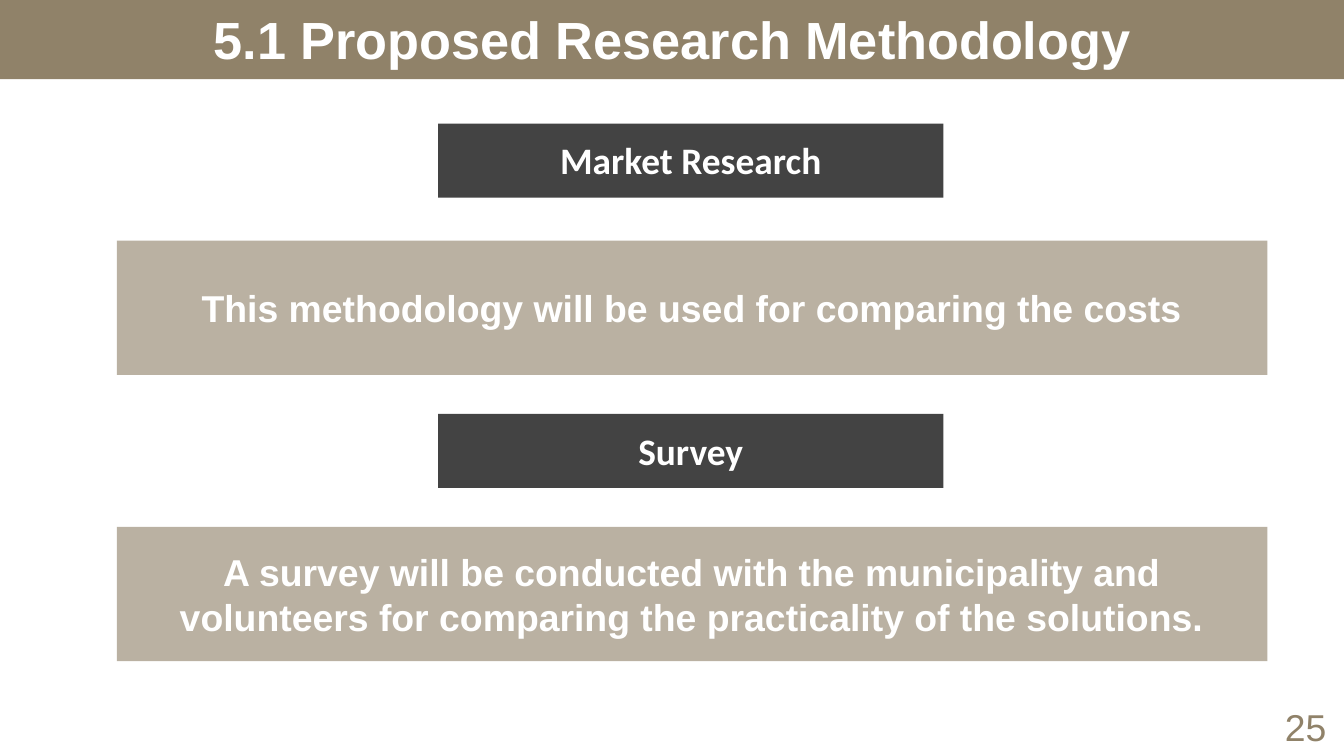
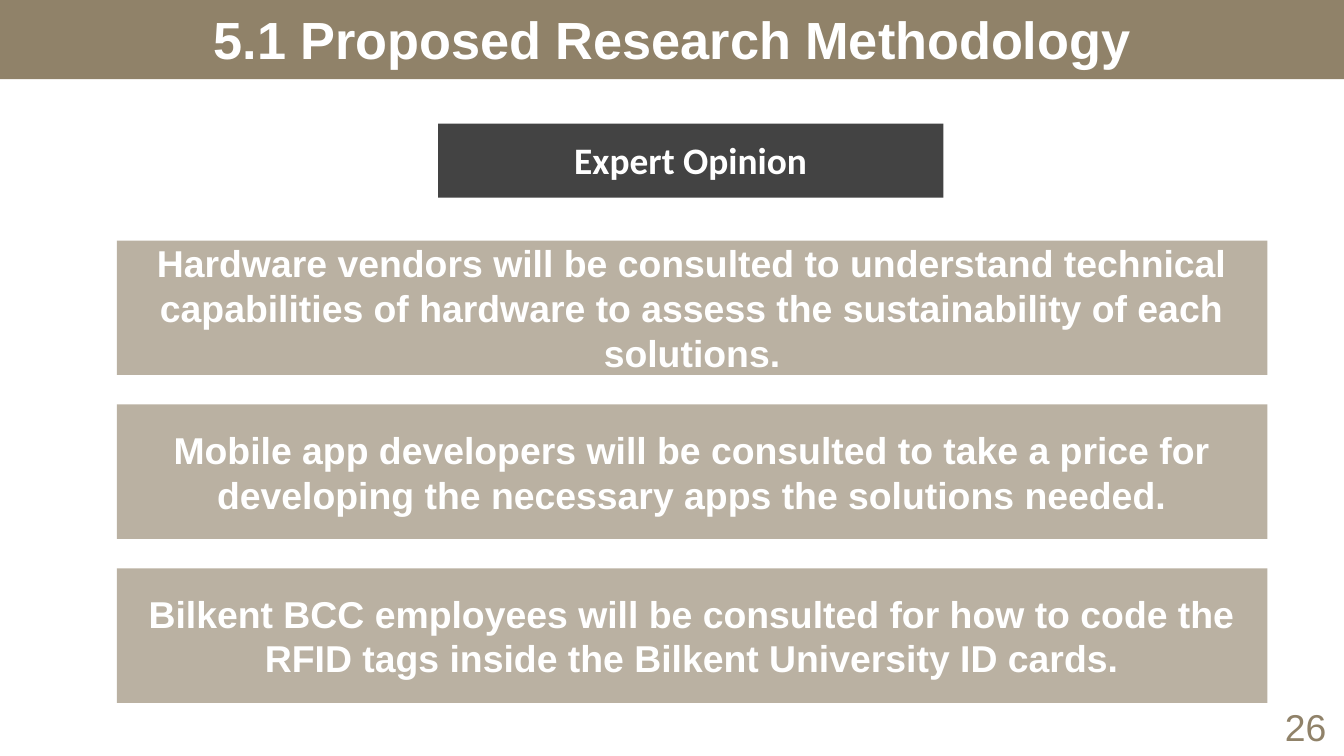
from pptx import Presentation
from pptx.dml.color import RGBColor as RGB
from pptx.enum.shapes import MSO_SHAPE as SHAPE
from pptx.enum.text import MSO_ANCHOR as ANCHOR, PP_ALIGN as ALIGN
from pptx.oxml.ns import qn
from pptx.util import Emu, Pt
from lxml.etree import SubElement

# Scale: 200 px to the inch
PX = 4572
SLIDE_W, SLIDE_H = 2000, 1125
INSET = 20

COLORS = {"sand": "908269", "dark": "434343", "white": "FFFFFF"}
TITLE = "5.1 Proposed Research Methodology"

# Rows that repeat
PANEL_X, PANEL_W, PANEL_H = 174, 1712, 200
TAG_X, TAG_W, TAG_H = 652, 752, 110
FIRST_TAG_Y, FIRST_PANEL_Y = 184, 358
PANEL_STEP = 244


def px(*values):
    return [Emu(v * PX) for v in values]


def write(shape, text, size, color="white", font="Arial", bold=True,
          anchor=ANCHOR.MIDDLE, inset_y=INSET):
    tf = shape.text_frame
    tf.word_wrap = True
    tf.vertical_anchor = anchor
    tf.margin_left = tf.margin_right = Emu(INSET * PX)
    tf.margin_top = tf.margin_bottom = Emu(inset_y * PX)
    p = tf.paragraphs[0]
    p.alignment = ALIGN.CENTER
    r = p.add_run()
    r.text = text
    r.font.name, r.font.size, r.font.bold = font, Pt(size), bold
    r.font.color.rgb = RGB.from_string(COLORS[color])


def add_rect(s, x, y, w, h, color, opacity=100):
    sp = s.shapes.add_shape(SHAPE.RECTANGLE, *px(x, y, w, h))
    sp.shadow.inherit = False
    sp.line.fill.background()
    sp.fill.solid()
    sp.fill.fore_color.rgb = RGB.from_string(COLORS[color])
    if opacity < 100:
        clr = sp.fill._xPr.find(qn("a:solidFill")).find(qn("a:srgbClr"))
        SubElement(clr, qn("a:alpha")).set("val", str(opacity * 1000))
    return sp


def add_text(s, x, y, w, h, text, size, **style):
    write(s.shapes.add_textbox(*px(x, y, w, h)), text, size, **style)


def add_panel(s, y, text):
    write(add_rect(s, PANEL_X, y, PANEL_W, PANEL_H, "sand", 62), text, 20)


def add_tag(s, y, text):
    add_rect(s, TAG_X, y, TAG_W, TAG_H, "dark")
    add_text(s, TAG_X, y + 2, TAG_W, TAG_H - 6, text, 20, font="Calibri")


def add_base(prs, number):
    """Blank slide with the title band and the page number."""
    s = prs.slides.add_slide(prs.slide_layouts[6])
    add_rect(s, 0, -2, SLIDE_W, 120, "sand")
    add_text(s, 0, -2, SLIDE_W, 120, TITLE, 28)
    add_text(s, 1886, 1038, 114, 88, str(number), 20, color="sand",
             bold=False, anchor=ANCHOR.TOP, inset_y=10)
    return s


def main():
    prs = Presentation()
    prs.slide_width, prs.slide_height = px(SLIDE_W, SLIDE_H)

    # Market research and survey
    s = add_base(prs, 25)
    add_tag(s, FIRST_TAG_Y, "Market Research")
    add_panel(s, FIRST_PANEL_Y,
              "This methodology will be used for comparing the costs")
    add_tag(s, 616, "Survey")
    add_panel(s, 784, "A survey will be conducted with the municipality and "
              "volunteers for comparing the practicality of the solutions.")

    # Expert opinion
    s = add_base(prs, 26)
    add_tag(s, FIRST_TAG_Y, "Expert Opinion")
    opinions = [
        "Hardware vendors will be consulted to understand technical "
        "capabilities of hardware to assess the sustainability of each "
        "solutions.",
        "Mobile app developers will be consulted to take a price for "
        "developing the necessary apps the solutions needed.",
        "Bilkent BCC employees will be consulted for how to code the "
        "RFID tags inside the Bilkent University ID cards.",
    ]
    for i, text in enumerate(opinions):
        add_panel(s, FIRST_PANEL_Y + i * PANEL_STEP, text)

    prs.save("out.pptx")


if __name__ == "__main__":
    main()
